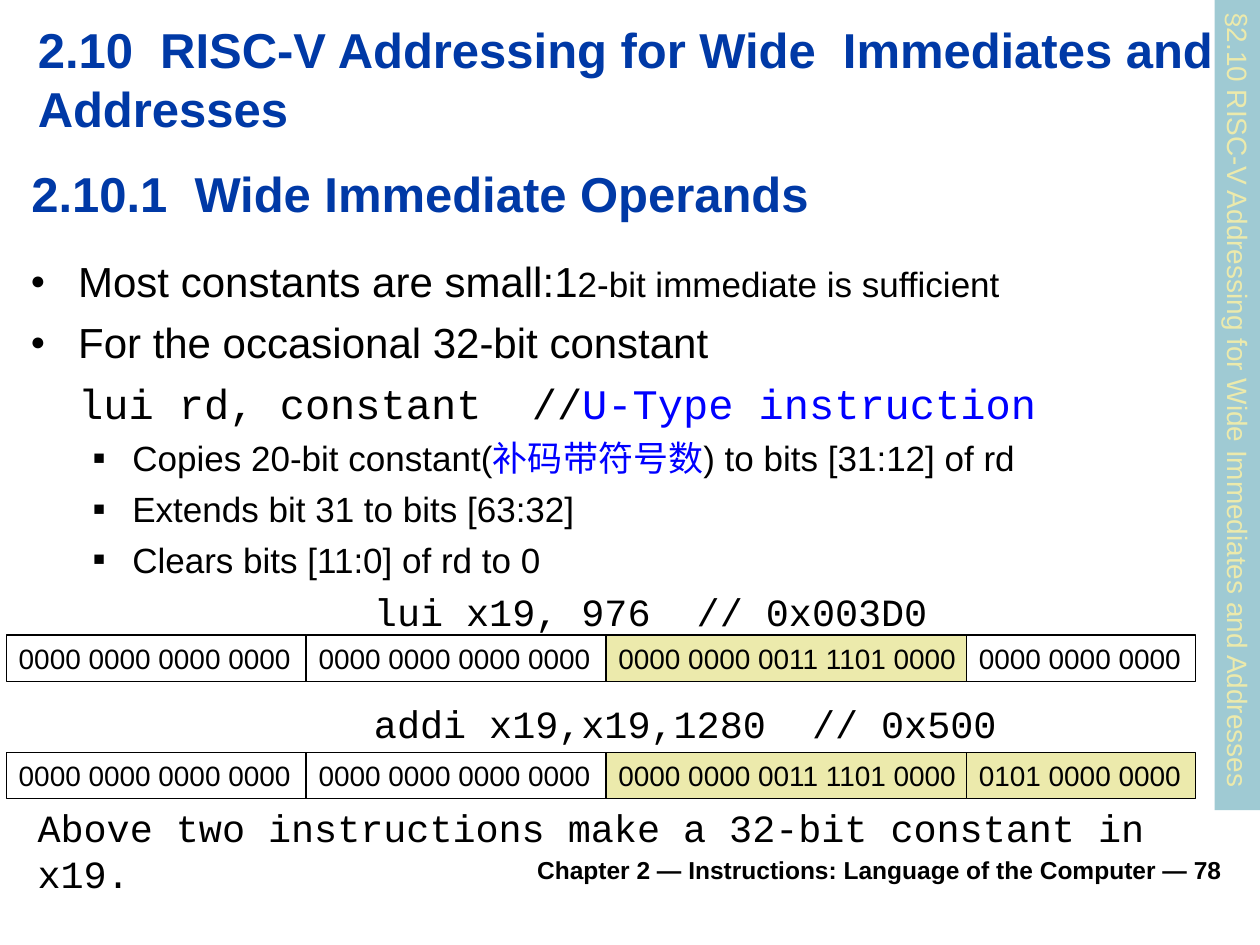
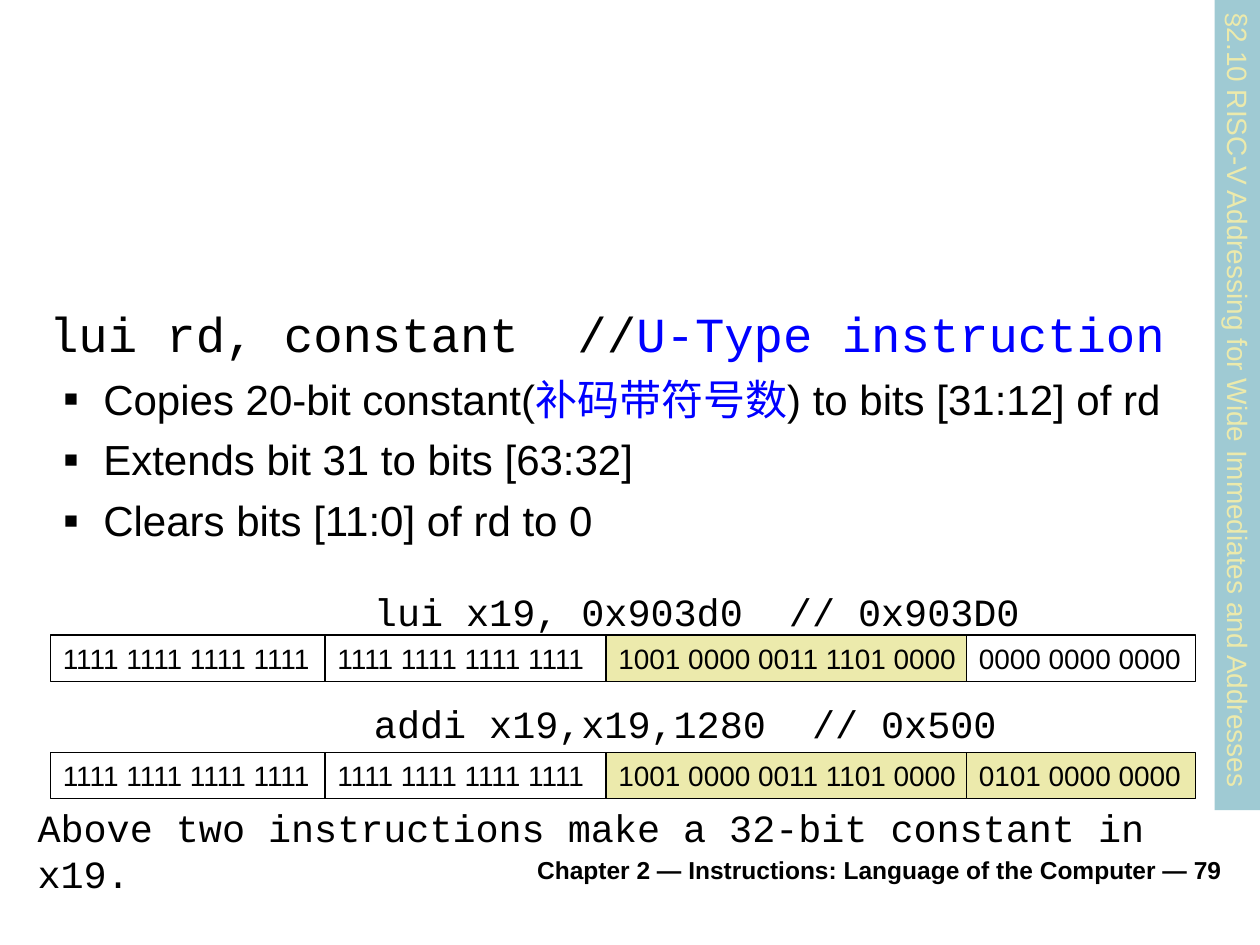
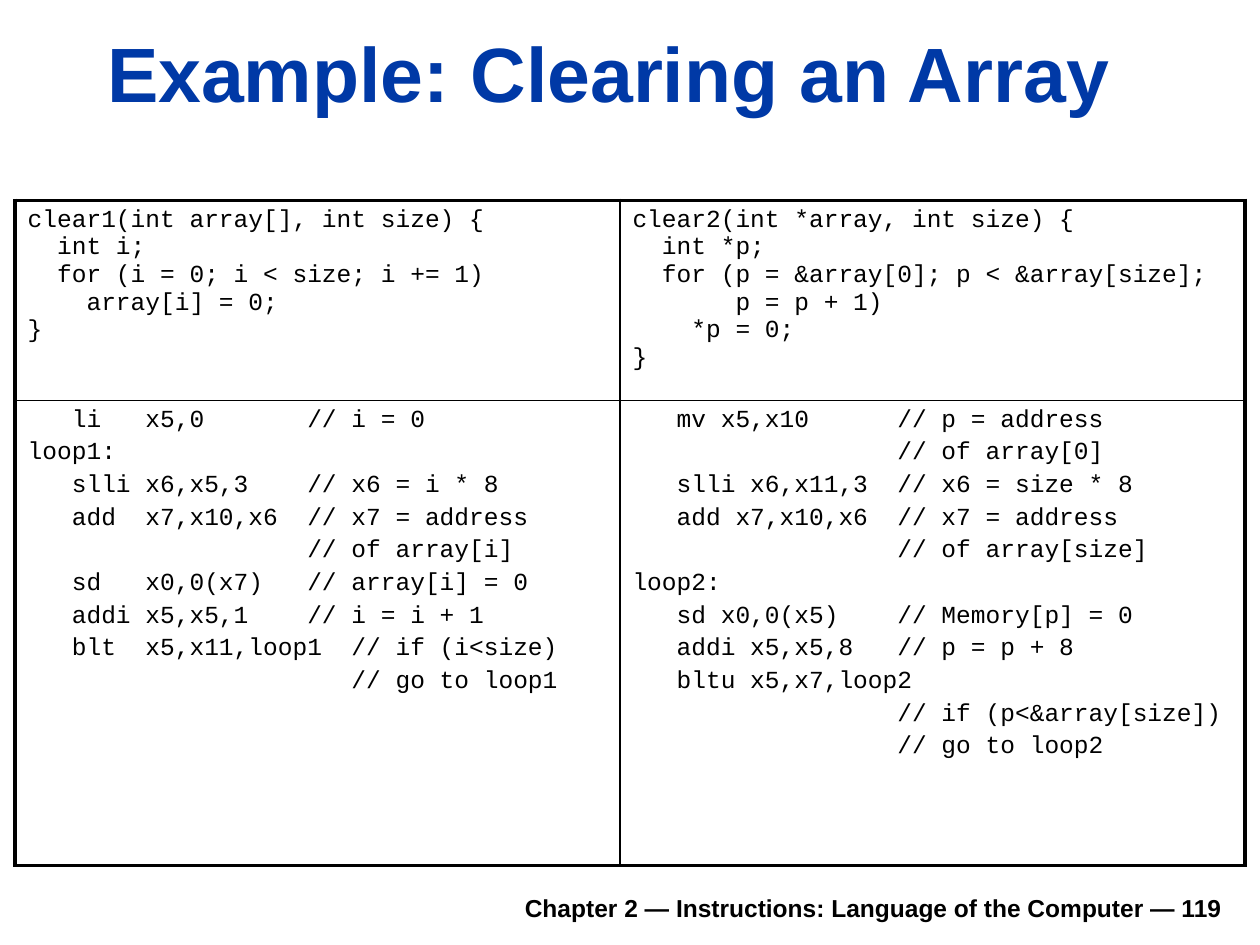
from dataclasses import dataclass

from lxml.etree import SubElement
from pptx import Presentation
from pptx.dml.color import RGBColor
from pptx.enum.shapes import MSO_SHAPE
from pptx.enum.text import MSO_ANCHOR, MSO_AUTO_SIZE, PP_ALIGN
from pptx.oxml import parse_xml
from pptx.oxml.ns import nsdecls, qn
from pptx.util import Inches, Pt


@dataclass(frozen=True)
class Theme:
    sans: str = "Arial"
    mono: str = "Courier New"
    ink: str = "000000"
    paper: str = "FFFFFF"
    heading: str = "0039A6"
    accent: str = "0000FF"
    band: str = "9FCAD3"
    highlight: str = "ECEAAC"
    title_size: int = 44
    section_size: int = 28
    instruction_size: int = 22
    bits_size: int = 16
    code_size: int = 14
    footer_size: int = 14
    outer_line: float = 2.25
    inner_line: float = 1
    bits_line: float = 0.75
    body_gap: float = 0.25
    code_gap: float = 0.2


THEME = Theme()
SECTION = "RISC-V Addressing for Wide Immediates and Addresses"
FOOTER = "Chapter 2 — Instructions: Language of the Computer — "
CONCLUSION = "Above two instructions make a 32-bit constant in x19."

CLEAR_CODE = [
    ["""clear1(int array[], int size) {
  int i;
  for (i = 0; i < size; i += 1)
    array[i] = 0;
}""", """clear2(int *array, int size) {
  int *p;
  for (p = &array[0]; p < &array[size];
       p = p + 1)
    *p = 0;
}"""],
    ["""   li   x5,0       // i = 0
loop1:
   slli x6,x5,3    // x6 = i * 8
   add  x7,x10,x6  // x7 = address
                   // of array[i]
   sd   x0,0(x7)   // array[i] = 0
   addi x5,x5,1    // i = i + 1
   blt  x5,x11,loop1  // if (i<size)
                      // go to loop1""", """   mv x5,x10      // p = address
                  // of array[0]
   slli x6,x11,3  // x6 = size * 8
   add x7,x10,x6  // x7 = address
                  // of array[size]
loop2:
   sd x0,0(x5)    // Memory[p] = 0
   addi x5,x5,8   // p = p + 8
   bltu x5,x7,loop2
                  // if (p<&array[size])
                  // go to loop2"""],
]


def add_run(paragraph, text, size, font=THEME.sans, color=THEME.ink, bold=False):
    run = paragraph.add_run()
    run.text = text
    run.font.size = Pt(size)
    run.font.name = font
    run.font.bold = bold
    run.font.color.rgb = RGBColor.from_string(color)


def set_frame(shape, anchor=MSO_ANCHOR.TOP, wrap=True, align=PP_ALIGN.LEFT):
    frame = shape.text_frame
    frame.auto_size = MSO_AUTO_SIZE.NONE
    frame.word_wrap = wrap
    frame.vertical_anchor = anchor
    frame.paragraphs[0].alignment = align
    return frame.paragraphs[0]


def move(shape, box):
    shape.left, shape.top, shape.width, shape.height = map(Inches, box)


def add_text(slide, box, text, size, anchor=MSO_ANCHOR.TOP, wrap=True,
             align=PP_ALIGN.LEFT, **style):
    label = slide.shapes.add_textbox(*map(Inches, box))
    add_run(set_frame(label, anchor, wrap, align), text, size, **style)


def add_rect(slide, box, text, fill=None, line=None, color=THEME.ink,
             anchor=MSO_ANCHOR.TOP):
    rect = slide.shapes.add_shape(MSO_SHAPE.RECTANGLE, *map(Inches, box))
    rect.shadow.inherit = False
    if fill:
        rect.fill.solid()
        rect.fill.fore_color.rgb = RGBColor.from_string(fill)
    else:
        rect.fill.background()
    if line:
        rect.line.color.rgb = RGBColor.from_string(line)
        rect.line.width = Pt(THEME.bits_line)
    else:
        rect.line.fill.background()
    add_run(set_frame(rect, anchor, wrap=False), text, THEME.bits_size, color=color)
    return rect


def add_title(slide, box, text, size):
    title = slide.shapes.title
    move(title, box)
    add_run(set_frame(title, MSO_ANCHOR.BOTTOM), text, size,
            color=THEME.heading, bold=True)


def add_footer(slide, page, top):
    add_text(slide, (1.85, top, 7.95, 0.39), f"{FOOTER}{page}", THEME.footer_size,
             MSO_ANCHOR.BOTTOM, align=PP_ALIGN.RIGHT, bold=True)


def add_section_band(slide):
    band = add_rect(slide, (6.61, 3.03, 6.43, 0.37), f"§2.10 {SECTION}",
                    THEME.band, color=THEME.highlight)
    band.rotation = 90


def set_bullet(paragraph, mark, percent, margin, indent):
    properties = paragraph._p.get_or_add_pPr()
    properties.set("marL", str(Inches(margin)))
    properties.set("indent", str(Inches(indent)))
    if not mark:
        SubElement(properties, qn("a:buNone"))
        return
    color = SubElement(properties, qn("a:buClr"))
    SubElement(color, qn("a:srgbClr"), val=THEME.ink)
    SubElement(properties, qn("a:buSzPct"), val=str(percent * 1000))
    SubElement(properties, qn("a:buFont"), typeface=THEME.sans)
    SubElement(properties, qn("a:buChar"), char=mark)


BULLETS = {
    "point": (0, "●", 60, 0.38, -0.38),
    "code": (0, None, 0, 0.38, 0),
    "detail": (1, "■", 55, 0.81, -0.31),
}


def add_body(slide, box, items):
    body = slide.placeholders[1]
    move(body, box)
    set_frame(body)
    for index, (kind, size, runs) in enumerate(items):
        frame = body.text_frame
        paragraph = frame.add_paragraph() if index else frame.paragraphs[0]
        level, *bullet = BULLETS[kind]
        paragraph.level = level
        set_bullet(paragraph, *bullet)
        paragraph.space_before = Pt(size * THEME.body_gap if index else 0)
        for text, style in runs:
            add_run(paragraph, text, **{"size": size, **style})


def lui_items(code_size, detail_size):
    mono = {"font": THEME.mono}
    accent = {"color": THEME.accent}
    return [
        ("code", code_size, [("lui rd, constant  //", mono),
                             ("U-Type instruction", mono | accent)]),
        ("detail", detail_size, [("Copies 20-bit constant(", {}),
                                 ("补码带符号数", accent),
                                 (") to bits [31:12] of rd", {})]),
        ("detail", detail_size, [("Extends bit 31 to bits [63:32]", {})]),
        ("detail", detail_size, [("Clears bits [11:0] of rd to 0", {})]),
    ]


def add_register(slide, top, edges, fields, highlighted):
    for index, bits in enumerate(fields):
        left, right = edges[index:index + 2]
        fill = THEME.highlight if index in highlighted else None
        anchor = MSO_ANCHOR.MIDDLE if index == 2 else MSO_ANCHOR.TOP
        add_rect(slide, (left, top, right - left, 0.37), bits, fill, THEME.ink,
                 anchor=anchor)


def add_constant_steps(slide, top, edges, lui, upper, middle):
    steps = [(lui, "0000 0000 0000", {2}),
             ("addi x19,x19,1280  // 0x500", "0101 0000 0000", {2, 3})]
    for index, (instruction, low, highlighted) in enumerate(steps):
        step_top = top + index * 0.89
        add_text(slide, (2.87, step_top, 5.4, 0.47), instruction,
                 THEME.instruction_size, wrap=False, font=THEME.mono)
        register_top = top + 0.42 + index * 0.93
        add_register(slide, register_top, edges, [upper, upper, middle, low],
                     highlighted)
    add_text(slide, (0.2, top + 1.71, 9.61, 0.84), CONCLUSION,
             THEME.instruction_size, font=THEME.mono)


def build_wide_immediates(deck):
    slide = deck.slides.add_slide(deck.slide_layouts[1])
    add_title(slide, (0.2, 0.1, 9.78, 1.04),
              "2.10  RISC-V Addressing for Wide  Immediates and Addresses",
              THEME.section_size)
    add_text(slide, (0.15, 1.24, 9.78, 0.57), "2.10.1  Wide Immediate Operands",
             THEME.section_size, MSO_ANCHOR.BOTTOM, color=THEME.heading, bold=True)
    points = [
        ("point", 24, [("Most constants are small:1", {}),
                       ("2-bit immediate is sufficient", {"size": 20})]),
        ("point", 24, [("For the occasional 32-bit constant", {})]),
    ]
    add_body(slide, (0.14, 1.98, 9.8, 3.23), points + lui_items(24, 20))
    add_section_band(slide)
    add_constant_steps(slide, 4.62, [0.05, 2.43, 4.81, 7.67, 9.49],
                       "lui x19, 976  // 0x003D0",
                       "0000 0000 0000 0000", "0000 0000 0011 1101 0000")
    add_footer(slide, 78, 6.68)


def build_negative_constant(deck):
    slide = deck.slides.add_slide(deck.slide_layouts[1])
    title = slide.shapes.title.element
    title.getparent().remove(title)
    add_body(slide, (-0.09, 2.36, 9.8, 3.23), lui_items(28, 24))
    add_section_band(slide)
    add_constant_steps(slide, 4.62, [0.4, 2.58, 4.81, 7.67, 9.49],
                       "lui x19, 0x903d0  // 0x903D0",
                       "1111 1111 1111 1111", "1001 0000 0011 1101 0000")
    add_footer(slide, 79, 6.68)


def set_borders(cell, widths):
    properties = cell._tc.get_or_add_tcPr()
    for index, (side, width) in enumerate(zip("LRTB", widths)):
        properties.insert(index, parse_xml(
            f'<a:ln{side} {nsdecls("a")} w="{Pt(width)}"><a:solidFill>'
            f'<a:srgbClr val="{THEME.ink}"/></a:solidFill></a:ln{side}>'))


def add_code_table(slide, box, widths, heights):
    table = slide.shapes.add_table(2, 2, *map(Inches, box)).table
    table.first_row = table.horz_banding = False
    for column, width in zip(table.columns, widths):
        column.width = Inches(width)
    for row, height in zip(table.rows, heights):
        row.height = Inches(height)
    outer, inner = THEME.outer_line, THEME.inner_line
    for row, listings in enumerate(CLEAR_CODE):
        for column, listing in enumerate(listings):
            cell = table.cell(row, column)
            cell.fill.solid()
            cell.fill.fore_color.rgb = RGBColor.from_string(THEME.paper)
            across = (inner, outer) if column else (outer, inner)
            down = (inner, outer) if row else (outer, inner)
            set_borders(cell, across + down)
            for index, code in enumerate(listing.split("\n")):
                frame = cell.text_frame
                paragraph = frame.add_paragraph() if index else frame.paragraphs[0]
                if row and index:
                    paragraph.space_before = Pt(THEME.code_size * THEME.code_gap)
                add_run(paragraph, code, THEME.code_size, THEME.mono)


def build_clearing_array(deck):
    slide = deck.slides.add_slide(deck.slide_layouts[5])
    add_title(slide, (0.75, 0.16, 9.03, 0.83), "Example: Clearing an Array",
              THEME.title_size)
    add_code_table(slide, (0.12, 1.59, 9.76, 5.28), [4.8, 4.96], [1.59, 3.69])
    add_footer(slide, 119, 6.98)


def main():
    deck = Presentation()
    deck.slide_width, deck.slide_height = Inches(10), Inches(7.5)
    build_wide_immediates(deck)
    build_negative_constant(deck)
    build_clearing_array(deck)
    deck.save("out.pptx")


if __name__ == "__main__":
    main()
